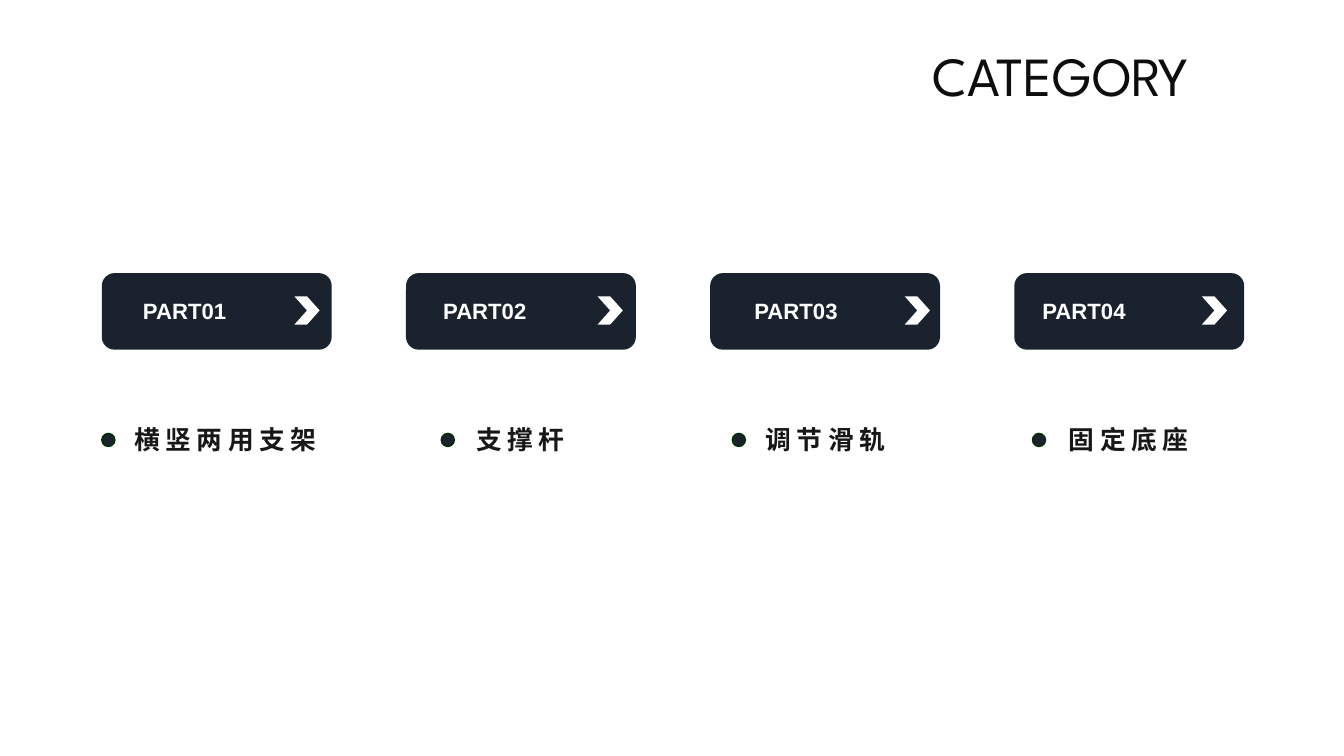
from dataclasses import dataclass

from lxml.etree import SubElement
from pptx import Presentation
from pptx.dml.color import RGBColor
from pptx.enum.shapes import MSO_SHAPE as SHAPE
from pptx.enum.text import MSO_ANCHOR as ANCHOR, MSO_AUTO_SIZE as AUTO_SIZE, PP_ALIGN as ALIGN
from pptx.oxml.ns import qn
from pptx.util import Inches, Pt

NAVY, WHITE, BLACK, INK, GREEN = "1A222D", "FFFFFF", "0D0D0D", "181717", "003001"
CARD_TOP, CARD_WIDTH, CARD_HEIGHT = 2.71, 2.28, 0.76
FIRST_LEFT, LAST_LEFT = 1.01, 10.06


@dataclass
class Part:
    """Text of one column, with offsets from the left side of its card."""
    label: str
    caption: str
    label_dx: float
    chevron_dx: float
    caption_dx: float
    dot_dx: float


PARTS = [
    Part("PART01", "横竖两用支架", 0.31, 1.91, -0.56, 0),
    Part("PART02", "支撑杆", 0.27, 1.9, -0.65, 0.35),
    Part("PART03", "调节滑轨", 0.34, 1.93, -0.64, 0.22),
    Part("PART04", "固定底座", 0.18, 1.86, -0.65, 0.18),
]


def color(value):
    return RGBColor.from_string(value)


def add_figure(slide, kind, left, top, width, height, fill, line=None):
    figure = slide.shapes.add_shape(kind, Inches(left), Inches(top), Inches(width), Inches(height))
    figure.shadow.inherit = False
    figure.fill.solid()
    figure.fill.fore_color.rgb = color(fill)
    if line:
        figure.line.color.rgb = color(line)
        figure.line.width = Pt(1)
    else:
        figure.line.fill.background()


def write(box, text, font, size, ink, align, bold=False, wrap=True):
    frame = box.text_frame
    frame.text = text
    frame.word_wrap = wrap
    frame.auto_size = AUTO_SIZE.SHAPE_TO_FIT_TEXT
    frame.vertical_anchor = ANCHOR.TOP
    para = frame.paragraphs[0]
    para.alignment = align
    span = para.runs[0]
    span.font.name = font
    span.font.size = Pt(size)
    span.font.bold = bold
    span.font.color.rgb = color(ink)
    return span


def add_text(slide, left, top, width, height, *style):
    box = slide.shapes.add_textbox(Inches(left), Inches(top), Inches(width), Inches(height))
    return write(box, *style)


def add_title(slide, left, top, width, height):
    title = slide.shapes.title
    title.left, title.top = Inches(left), Inches(top)
    title.width, title.height = Inches(width), Inches(height)
    write(title, "CATEGORY", "League Spartan", 39.4, BLACK, ALIGN.LEFT, wrap=False)


def add_card(slide, part, left, top):
    add_figure(slide, SHAPE.ROUNDED_RECTANGLE, left, top, CARD_WIDTH, CARD_HEIGHT, NAVY)
    add_figure(slide, SHAPE.CHEVRON, left + part.chevron_dx, top + 0.23, 0.25, 0.28, WHITE)
    add_text(slide, left + part.label_dx, top + 0.19, 1.46, 0.37,
             part.label, "Arial", 15.8, WHITE, ALIGN.JUSTIFY, True)


def add_caption(slide, part, left, top):
    """Place the dotted, letter-spaced caption below a card."""
    font = "Noto Sans CJK SC"
    span = add_text(slide, left + part.caption_dx, top, 3.57, 0.41,
                    part.caption, font, 18.4, INK, ALIGN.CENTER, True)
    properties = span.font._element
    properties.set("spc", "400")
    SubElement(properties, qn("a:ea"), typeface=font)
    add_figure(slide, SHAPE.OVAL, left + part.dot_dx, top + 0.15, 0.13, 0.13, NAVY, GREEN)


def main():
    deck = Presentation()
    deck.slide_width, deck.slide_height = Inches(13.33), Inches(7.5)
    slide = deck.slides.add_slide(deck.slide_layouts[5])
    add_title(slide, 9.15, 0.36, 3.22, 0.76)
    pitch = (LAST_LEFT - FIRST_LEFT) / (len(PARTS) - 1)
    for index, part in enumerate(PARTS):
        left = FIRST_LEFT + index * pitch
        add_card(slide, part, left, CARD_TOP)
        add_caption(slide, part, left, CARD_TOP + 1.44)
    deck.save("out.pptx")


if __name__ == "__main__":
    main()
